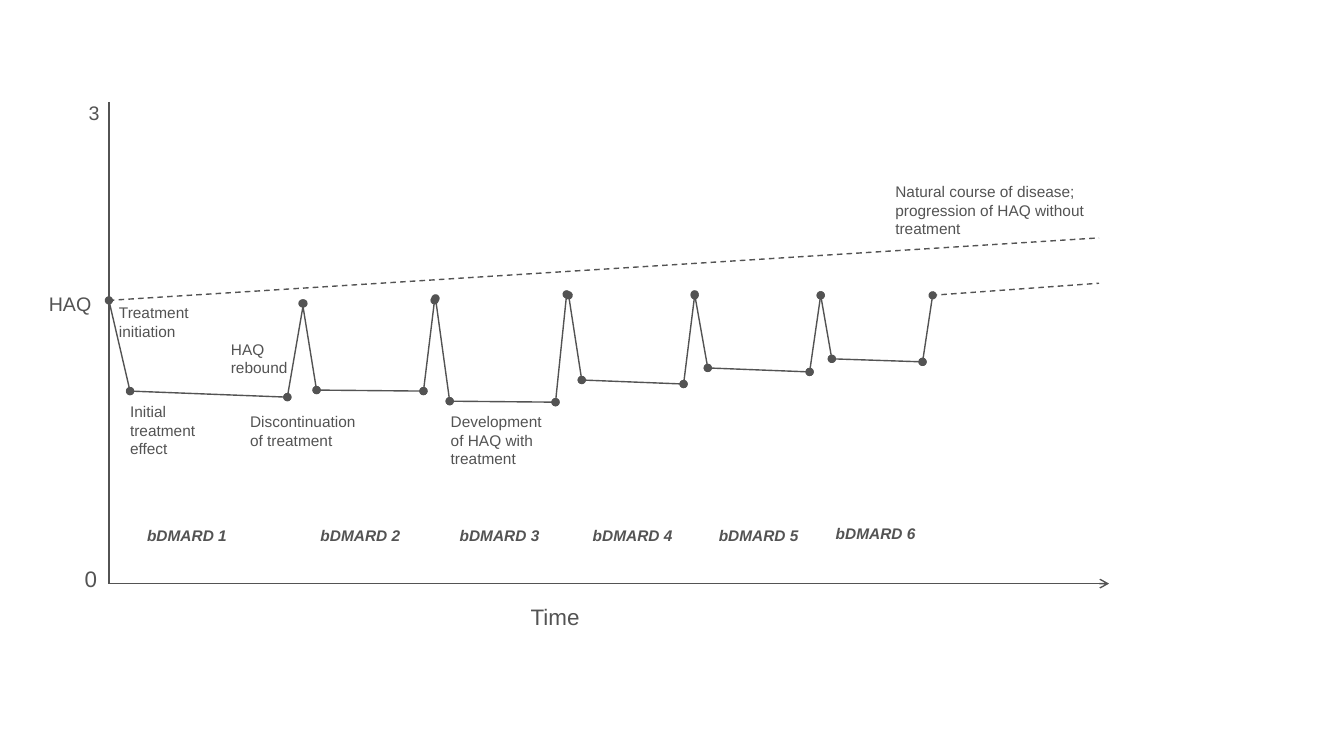
"""Build a slide of HAQ over time across six bDMARD treatments."""
import pptx
import pptx.util
import pptx.dml.color
import pptx.enum.dml
import pptx.enum.shapes
import pptx.enum.text
import pptx.oxml.ns
import lxml.etree

deck = pptx.Presentation()
deck.slide_width = pptx.util.Inches(13.33)
deck.slide_height = pptx.util.Inches(7.5)
slide = deck.slides.add_slide(deck.slide_layouts[6])
col = deck.slide_width // 1333
row = deck.slide_height // 750
gray = pptx.dml.color.RGBColor.from_string("535353")
left = pptx.enum.text.PP_ALIGN.LEFT
mid = pptx.enum.text.PP_ALIGN.CENTER
name = pptx.oxml.ns.qn


def draw(start, end, head=None, tail=None, dash=False):
    """Draw a line between two grid points, with optional end marks."""
    (x1, y1), (x2, y2) = start, end
    line = slide.shapes.add_connector(
        pptx.enum.shapes.MSO_CONNECTOR.STRAIGHT,
        x1 * col, y1 * row, x2 * col, y2 * row)
    line.line.color.rgb = gray
    line.line.width = pptx.util.Pt(1)
    if dash:
        line.line.dash_style = pptx.enum.dml.MSO_LINE.DASH
    props = line._element.spPr
    for tag, mark in (("a:headEnd", head), ("a:tailEnd", tail)):
        if mark:
            lxml.etree.SubElement(
                props.find(name("a:ln")), name(tag), type=mark)
    lxml.etree.SubElement(props, name("a:effectLst"))


def write(text, x, y, width, height, size=11, align=left, strong=False):
    """Place a text box on the grid."""
    frame = slide.shapes.add_textbox(
        x * col, y * row, width * col, height * row).text_frame
    frame.word_wrap = True
    frame.margin_left = frame.margin_right = 0
    frame.margin_top = frame.margin_bottom = 0
    para = frame.paragraphs[0]
    para.text = text
    para.alignment = align
    para.font.name = "Arial"
    para.font.size = pptx.util.Pt(size)
    para.font.bold = para.font.italic = strong
    para.font.color.rgb = gray


zero = (108, 579)
first = (108, 298)
draw((108, 101), zero)
draw(zero, (1100, 579), tail="arrow")
draw(first, (1090, 236), dash=True)
draw((924, 293), (1090, 281), dash=True)

write("0", 84, 561, 38, 40, 16)
write("3", 88, 100, 38, 40, 14)
write("HAQ", 37, 290, 65, 40, 14, mid)
write("Time", 518, 598, 65, 40, 16, mid)

notes = [
    ("Treatment initiation", 118, 301, 73, 37),
    ("Initial treatment effect", 129, 399, 73, 58),
    ("HAQ rebound", 229, 337, 73, 44),
    ("Discontinuation of treatment", 248, 409, 108, 52),
    ("Development of HAQ with treatment", 447, 409, 92, 20),
    ("Natural course of disease; progression of HAQ without treatment",
     888, 181, 208, 40),
]
for note in notes:
    write(*note)

cycles = [
    (first, (129, 388), (285, 394), (301, 301)),
    ((300, 301), (314, 387), (420, 388), (431, 298)),
    ((432, 296), (446, 398), (551, 399), (562, 292)),
    ((564, 293), (577, 377), (678, 381), (689, 293)),
    ((689, 292), (702, 365), (803, 369), (814, 293)),
    ((814, 293), (825, 356), (915, 359), (925, 293)),
]
for cycle in cycles:
    for start, end in zip(cycle, cycle[1:]):
        draw(start, end, "oval", "oval")

drugs = [(142, 522), (314, 522), (452, 522), (584, 522), (709, 522), (825, 520)]
for num, (x, y) in enumerate(drugs, 1):
    write(f"bDMARD {num}", x, y, 87, 25, align=mid, strong=True)

deck.save("out.pptx")
